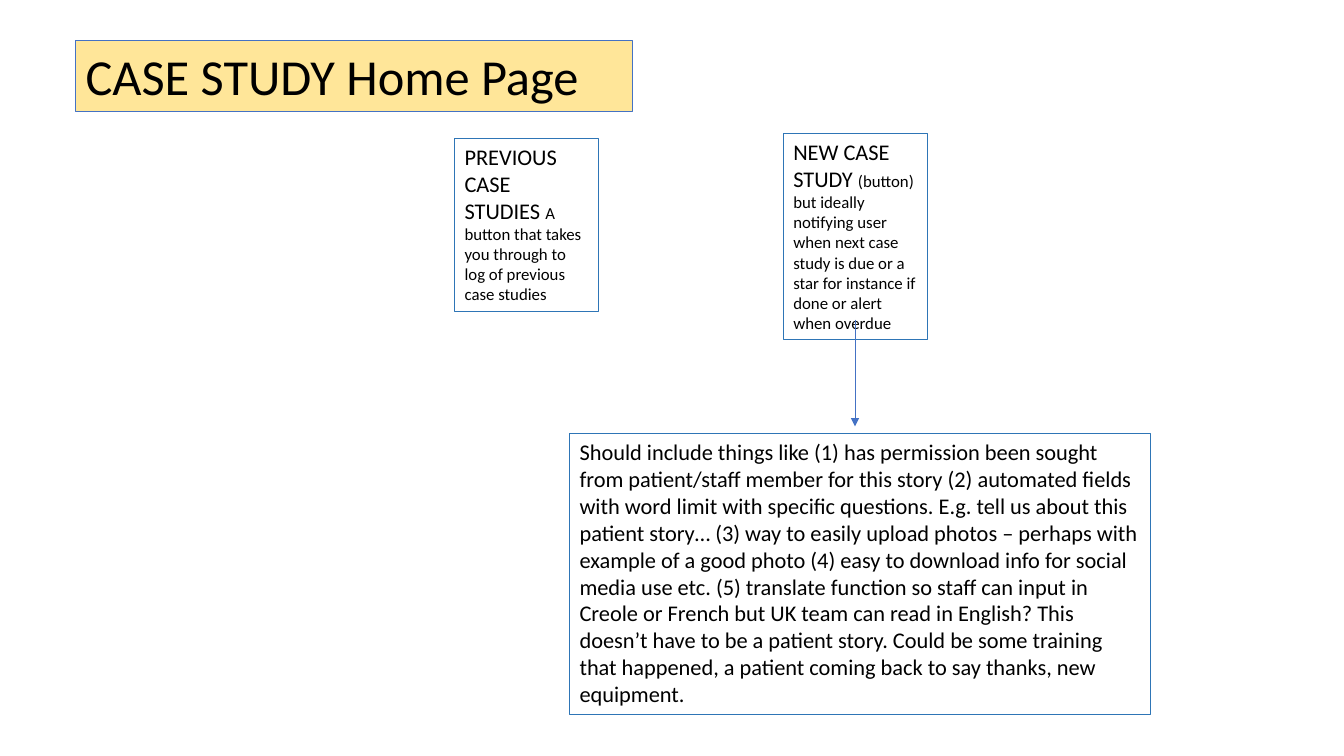
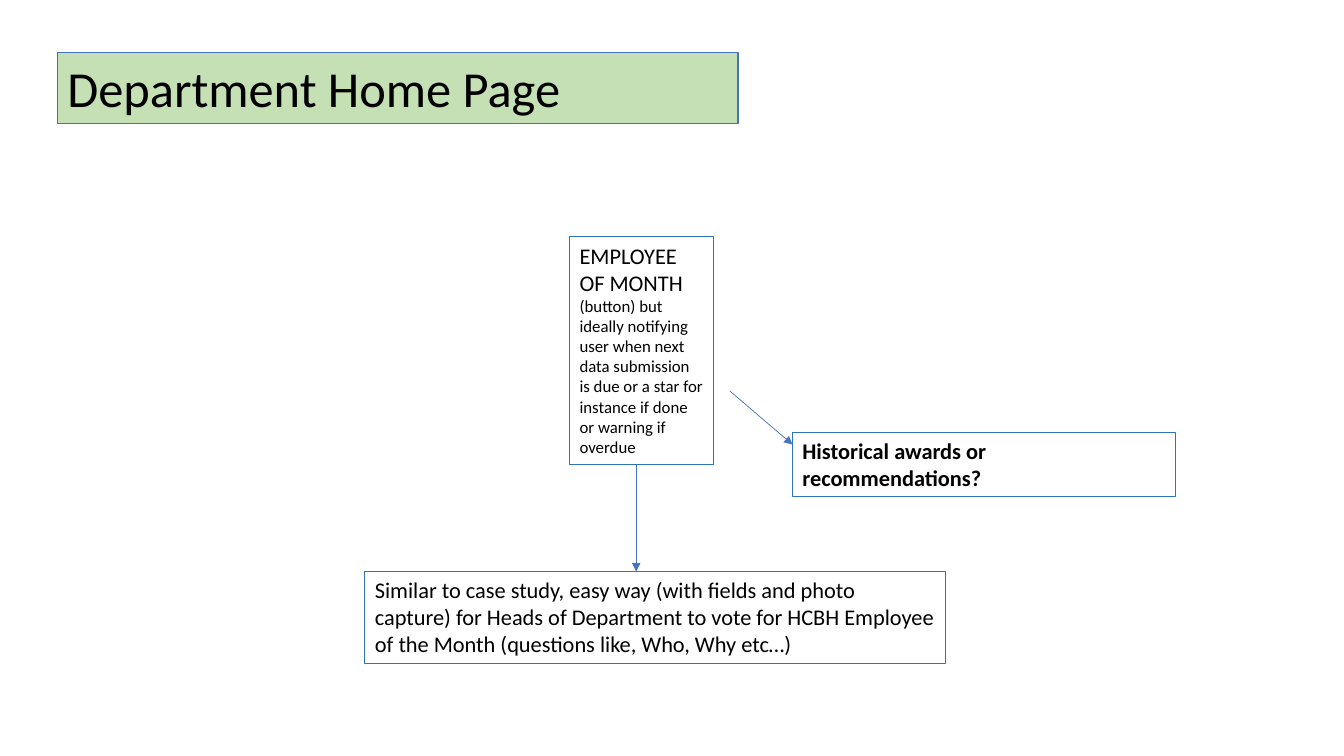
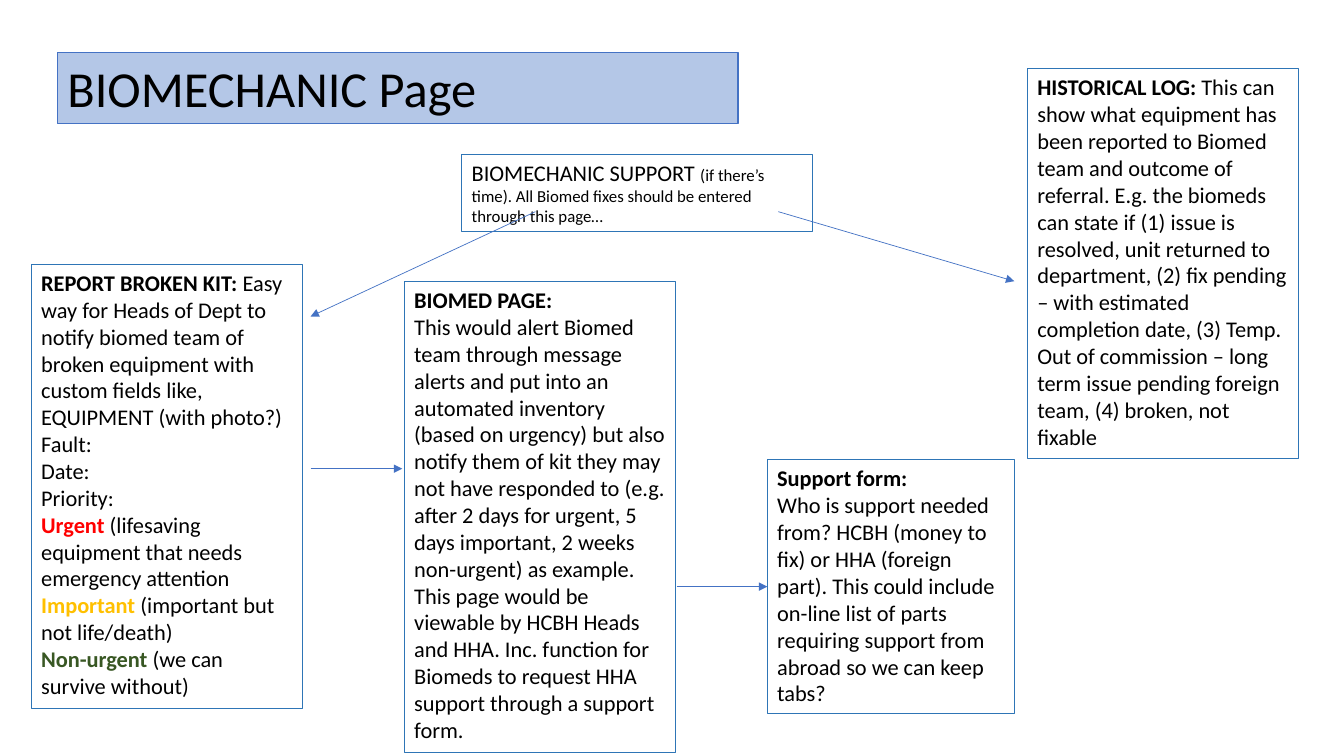
import pptx
import pptx.util
import pptx.dml.color
import pptx.enum.shapes
import pptx.enum.text
import pptx.oxml.ns
import lxml.etree

RGB = pptx.dml.color.RGBColor
BLACK = RGB(0x00, 0x00, 0x00)
RED = RGB(0xFF, 0x00, 0x00)
AMBER = RGB(0xFF, 0xC0, 0x00)
GREEN = RGB(0x38, 0x57, 0x23)
EDGE = RGB(0x2E, 0x75, 0xB6)
BLUE = RGB(0x44, 0x72, 0xC4)
CREAM = RGB(0xFF, 0xE6, 0x99)
MINT = RGB(0xC5, 0xE0, 0xB4)
SKY = RGB(0xB4, 0xC7, 0xE7)

FONT = "Calibri"
SCALE = 9144

STYLES = {
    "title": (36, False, BLACK),
    "body": (16, False, BLACK),
    "small": (12, False, BLACK),
    "bold": (16, True, BLACK),
    "red": (16, True, RED),
    "amber": (16, True, AMBER),
    "green": (16, True, GREEN),
}

PAGES = [
    {
        "title": ("CASE STUDY Home Page", (75, 40, 552, 71), CREAM),
        "boxes": [
            ((777, 132, 143, 205), [[
                ("NEW CASE STUDY ", "body"),
                ("(button) but ideally notifying user when next case study is due "
                 "or a star for instance if done or alert when overdue", "small")]]),
            ((565, 430, 576, 279), [[
                ("Should include things like (1) has permission been sought from "
                 "patient/staff member for this story (2) automated fields with word "
                 "limit with specific questions. E.g. tell us about this patient "
                 "story… (3) way to easily upload photos – perhaps with example of a "
                 "good photo (4) easy to download info for social media use etc. "
                 "(5) translate function so staff can input in Creole or French but "
                 "UK team can read in English? This doesn’t have to be a patient "
                 "story. Could be some training that happened, a patient coming back "
                 "to say thanks, new equipment.", "body")]]),
            ((451, 137, 143, 172), [[
                ("PREVIOUS CASE STUDIES ", "body"),
                ("A button that takes you through to log of previous case studies",
                 "small")]]),
        ],
        "arrows": [((848, 317), (848, 423), None)],
    },
    {
        "title": ("Department Home Page", (57, 52, 675, 71), MINT),
        "boxes": [
            ((565, 235, 143, 226), [[
                ("EMPLOYEE OF MONTH ", "body"),
                ("(button) but ideally notifying user when next data submission is "
                 "due or a star for instance if done or warning if overdue",
                 "small")]]),
            ((362, 567, 576, 91), [[
                ("Similar to case study, easy way (with fields and photo capture) "
                 "for Heads of Department to vote for HCBH Employee of the Month "
                 "(questions like, Who, Why etc…)", "body")]]),
            ((786, 429, 380, 64), [[
                ("Historical awards or recommendations?", "bold")]]),
        ],
        "arrows": [((631, 461), (631, 567), None), ((724, 388), (786, 441), None)],
    },
    {
        "title": ("BIOMECHANIC Page", (57, 52, 675, 71), SKY),
        "boxes": [
            ((458, 153, 348, 77), [[
                ("BIOMECHANIC SUPPORT ", "body"),
                ("(if there’s time). All Biomed fixes should be entered through "
                 "this page…", "small")]]),
            ((31, 262, 269, 441), [
                [("REPORT BROKEN KIT: ", "bold"),
                 ("Easy way for Heads of Dept to notify biomed team of broken "
                  "equipment with custom fields like,", "body")],
                [("EQUIPMENT (with photo?)", "body")],
                [("Fault:", "body")],
                [("Date:", "body")],
                [("Priority:", "body")],
                [("Urgent", "red"),
                 (" (lifesaving equipment that needs emergency attention", "body")],
                [("Important", "amber"),
                 (" (important but not life/death)", "body")],
                [("Non-urgent ", "green"), ("(we can survive without)", "body")]]),
            ((1019, 68, 269, 387), [[
                ("HISTORICAL LOG: ", "bold"),
                ("This can show what equipment has been reported to Biomed team and "
                 "outcome of referral. E.g. the biomeds can state if (1) issue is "
                 "resolved, unit returned to department, (2) fix pending – with "
                 "estimated completion date, (3) Temp. Out of commission – long term "
                 "issue pending foreign team, (4) broken, not fixable", "body")]]),
            ((401, 279, 269, 468), [
                [("BIOMED PAGE:", "bold")],
                [("This would alert Biomed team through message alerts and put into "
                  "an automated inventory (based on urgency) but also notify them of "
                  "kit they may not have responded to (e.g. after 2 days for urgent, "
                  "5 days important, 2 weeks non-urgent) as example. This page would "
                  "be viewable by HCBH Heads and HHA. Inc. function for Biomeds to "
                  "request HHA support through a support form.", "body")]]),
            ((761, 456, 245, 252), [
                [("Support form:", "bold")],
                [("Who is support needed from? HCBH (money to fix) or HHA (foreign "
                  "part). This could include on-line list of parts requiring support "
                  "from abroad so we can keep tabs?", "body")]]),
        ],
        "arrows": [
            ((531, 210), (308, 314), None),
            ((772, 210), (1006, 279), None),
            ((308, 465), (399, 465), None),
            ((671, 582), (761, 582), (4, 1)),
        ],
    },
]


def px(*nums):
    return [pptx.util.Emu(n * SCALE) for n in nums]


def add_box(slide, at, paras, edge=EDGE, fill=None):
    box = slide.shapes.add_textbox(*px(*at))
    box.line.color.rgb = edge
    box.line.width = pptx.util.Pt(0.75)
    if fill is not None:
        box.fill.solid()
        box.fill.fore_color.rgb = fill
    frame = box.text_frame
    frame.word_wrap = True
    frame.auto_size = pptx.enum.text.MSO_AUTO_SIZE.SHAPE_TO_FIT_TEXT
    for i, runs in enumerate(paras):
        para = frame.add_paragraph() if i else frame.paragraphs[0]
        for text, style in runs:
            run = para.add_run()
            run.text = text
            size, bold, color = STYLES[style]
            run.font.name = FONT
            run.font.size = pptx.util.Pt(size)
            run.font.bold = bold
            run.font.color.rgb = color
    return box


def add_arrow(slide, start, end, join, boxes):
    kind = pptx.enum.shapes.MSO_CONNECTOR.STRAIGHT
    arrow = slide.shapes.add_connector(kind, *px(*start, *end))
    arrow.line.color.rgb = BLUE
    arrow.line.width = pptx.util.Pt(0.5)
    qn = pptx.oxml.ns.qn
    tip = lxml.etree.SubElement(arrow.line._get_or_add_ln(), qn("a:tailEnd"))
    tip.set("type", "triangle")
    lxml.etree.SubElement(arrow._element.spPr, qn("a:effectLst"))
    if join:
        index, side = join
        arrow.end_connect(boxes[index], side)


def main():
    deck = pptx.Presentation()
    deck.slide_width, deck.slide_height = px(1333, 750)
    for page in PAGES:
        slide = deck.slides.add_slide(deck.slide_layouts[6])
        text, at, fill = page["title"]
        add_box(slide, at, [[(text, "title")]], BLUE, fill)
        boxes = [add_box(slide, at, paras) for at, paras in page["boxes"]]
        for start, end, join in page["arrows"]:
            add_arrow(slide, start, end, join, boxes)
    deck.save("out.pptx")


if __name__ == "__main__":
    main()
